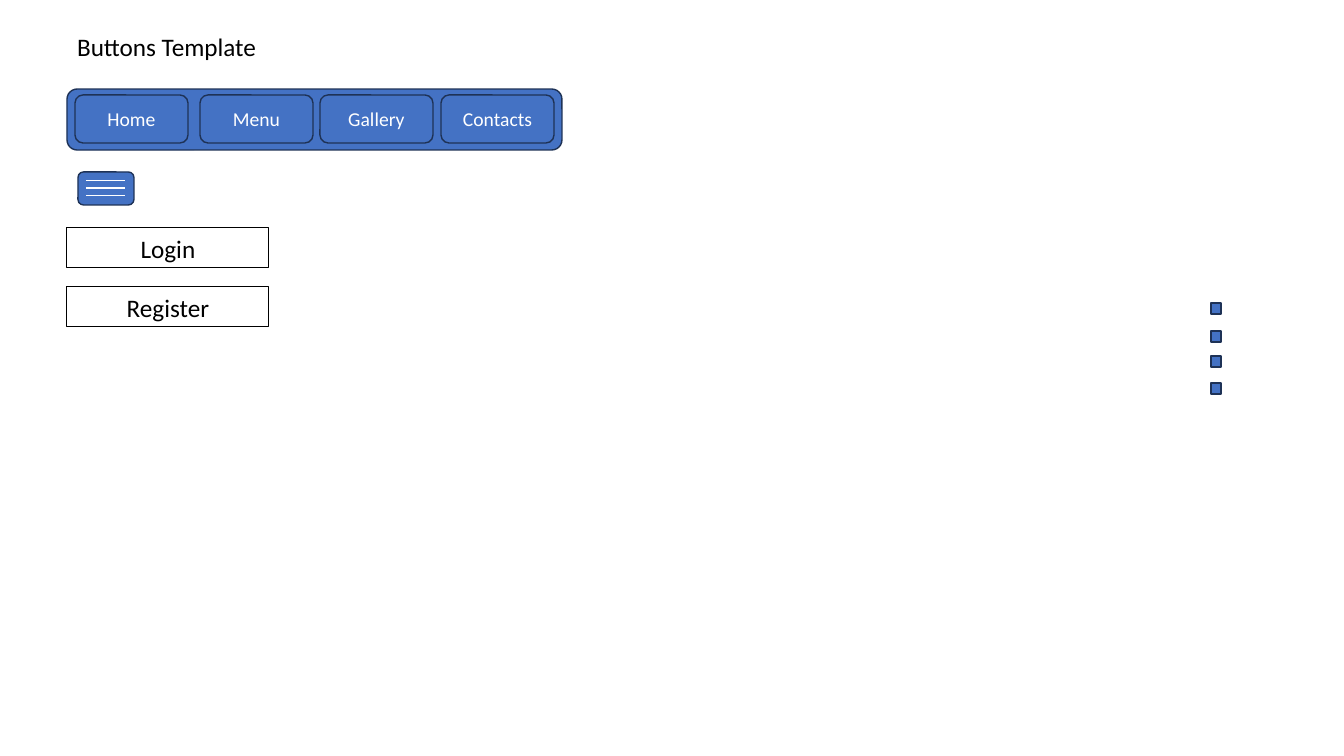
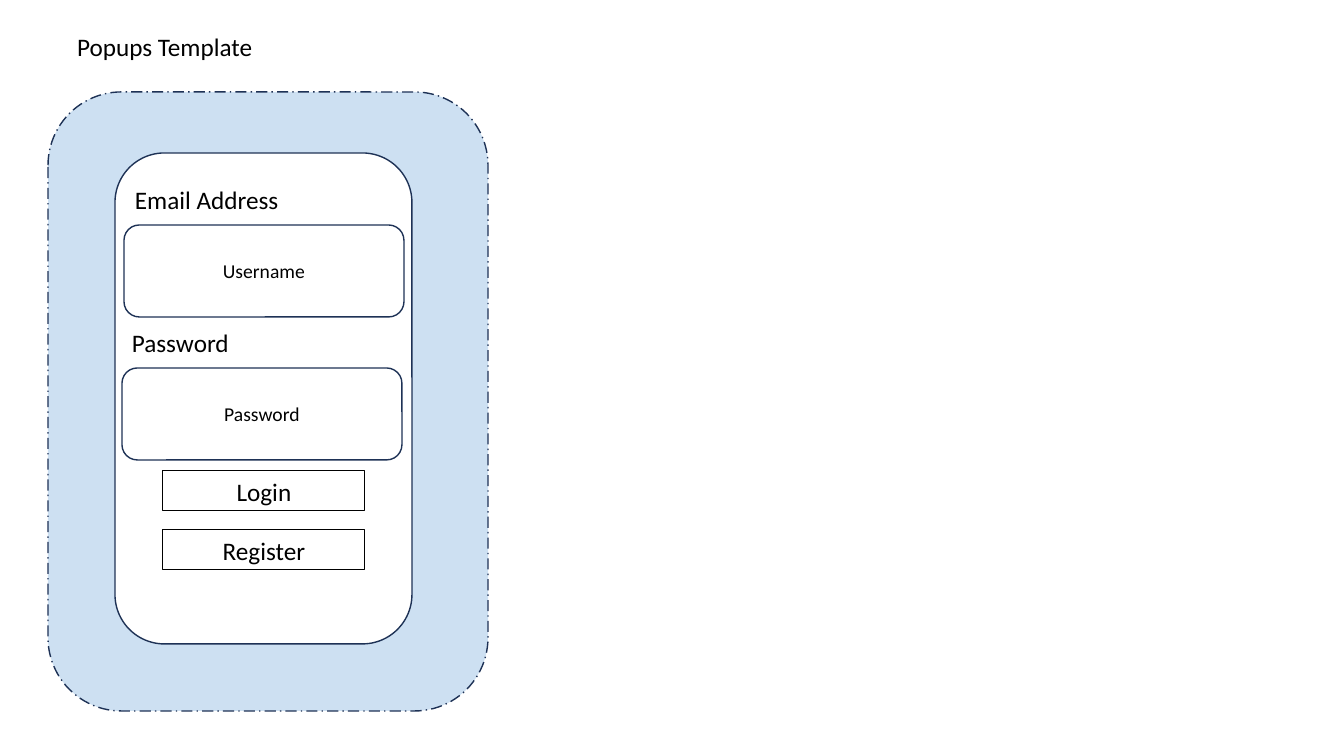
from lxml import etree
from pptx import Presentation
from pptx import util as u
from pptx.dml.color import RGBColor
from pptx.enum import dml, shapes, text
from pptx.oxml import ns

PX = 914400 / 100.8
COLOURS = {
    "ink": "000000",
    "paper": "FFFFFF",
    "button": "4472C4",
    "outline": "1E3256",
    "backdrop": "5B9BD5",
}


def px(length):
    return u.Emu(round(length * PX))


def colour(name):
    return RGBColor.from_string(COLOURS[name])


class Mockup:
    font = "Calibri"
    large = 18
    small = 14

    def __init__(self):
        self.deck = Presentation()
        self.deck.slide_width = px(1344)
        self.deck.slide_height = px(756)
        self.page = None
        self.canvas = None

    def start_page(self, title):
        self.page = self.deck.slides.add_slide(self.deck.slide_layouts[5])
        self.canvas = self.page.shapes
        box = self.page.shapes.title
        box.left, box.top, box.width, box.height = map(px, (67, 26, 655, 40))
        self.set_text(box, title, self.large, "ink", "LEFT", "TOP")

    def start_group(self):
        self.canvas = self.page.shapes.add_group_shape().shapes

    def set_text(self, box, words, size, ink, align, anchor):
        frame = box.text_frame
        frame.word_wrap = True
        frame.auto_size = text.MSO_AUTO_SIZE.NONE
        frame.vertical_anchor = text.MSO_ANCHOR[anchor]
        para = frame.paragraphs[0]
        para.text = words
        para.alignment = text.PP_ALIGN[align]
        para.font.name = self.font
        para.font.size = u.Pt(size)
        para.font.color.rgb = colour(ink)

    def stroke(self, item, name, points):
        item.line.color.rgb = colour(name)
        item.line.width = u.Pt(points)

    def panel(self, x, y, width, height, fill="button", words="", ink="paper",
              kind="ROUNDED_RECTANGLE"):
        box = self.canvas.add_shape(
            shapes.MSO_SHAPE[kind], px(x), px(y), px(width), px(height))
        box.shadow.inherit = False
        box.fill.solid()
        box.fill.fore_color.rgb = colour(fill)
        self.stroke(box, "outline", 1)
        if words:
            self.set_text(box, words, self.small, ink, "CENTER", "MIDDLE")
        return box

    def backdrop(self, x, y, width, height, opacity):
        box = self.panel(x, y, width, height, "backdrop")
        box.line.dash_style = dml.MSO_LINE.LONG_DASH_DOT
        tint = box.element.spPr.find(ns.qn("a:solidFill"))[0]
        etree.SubElement(tint, ns.qn("a:alpha"), val=str(opacity * 1000))

    def label(self, x, y, width, words, align="LEFT"):
        box = self.canvas.add_textbox(px(x), px(y), px(width), px(40))
        self.set_text(box, words, self.large, "ink", align, "TOP")
        return box

    def account_buttons(self, x, y):
        for row, words in enumerate(("Login", "Register")):
            box = self.label(x, y + 59 * row, 202, words, "CENTER")
            self.stroke(box, "ink", 0.75)

    def rule(self, x, y, width):
        line = self.canvas.add_connector(
            shapes.MSO_CONNECTOR.STRAIGHT, px(x), px(y), px(x + width), px(y))
        self.stroke(line, "paper", 0.75)
        etree.SubElement(line.element.spPr, ns.qn("a:effectLst"))

    def field(self, x, y, caption, hint, indent):
        self.panel(x, y, 280, 92, "paper", hint, "ink")
        self.label(x + indent, y - 46, 259, caption)


def buttons_page(mockup):
    mockup.start_page("Buttons Template")
    mockup.account_buttons(67, 228)

    mockup.start_group()
    mockup.panel(78, 172, 56, 33)
    for y in (181, 188, 196):
        mockup.rule(86, y, 39)

    mockup.start_group()
    mockup.panel(67, 89, 495, 61)
    tabs = {"Home": 75, "Menu": 200, "Gallery": 320, "Contacts": 441}
    for words, x in tabs.items():
        mockup.panel(x, 95, 113, 48, words=words)

    mockup.start_group()
    for y in (303, 331, 356, 383):
        mockup.panel(1211, y, 10, 11, kind="RECTANGLE")


def popups_page(mockup):
    mockup.start_page("Popups Template")
    mockup.start_group()
    mockup.backdrop(48, 92, 440, 619, 30)
    mockup.panel(115, 153, 297, 491, "paper")
    mockup.field(124, 225, "Email Address", "Username", 1)
    mockup.field(122, 368, "Password", "Password", 0)
    mockup.account_buttons(163, 471)


def main():
    mockup = Mockup()
    buttons_page(mockup)
    popups_page(mockup)
    mockup.deck.save("out.pptx")


if __name__ == "__main__":
    main()
